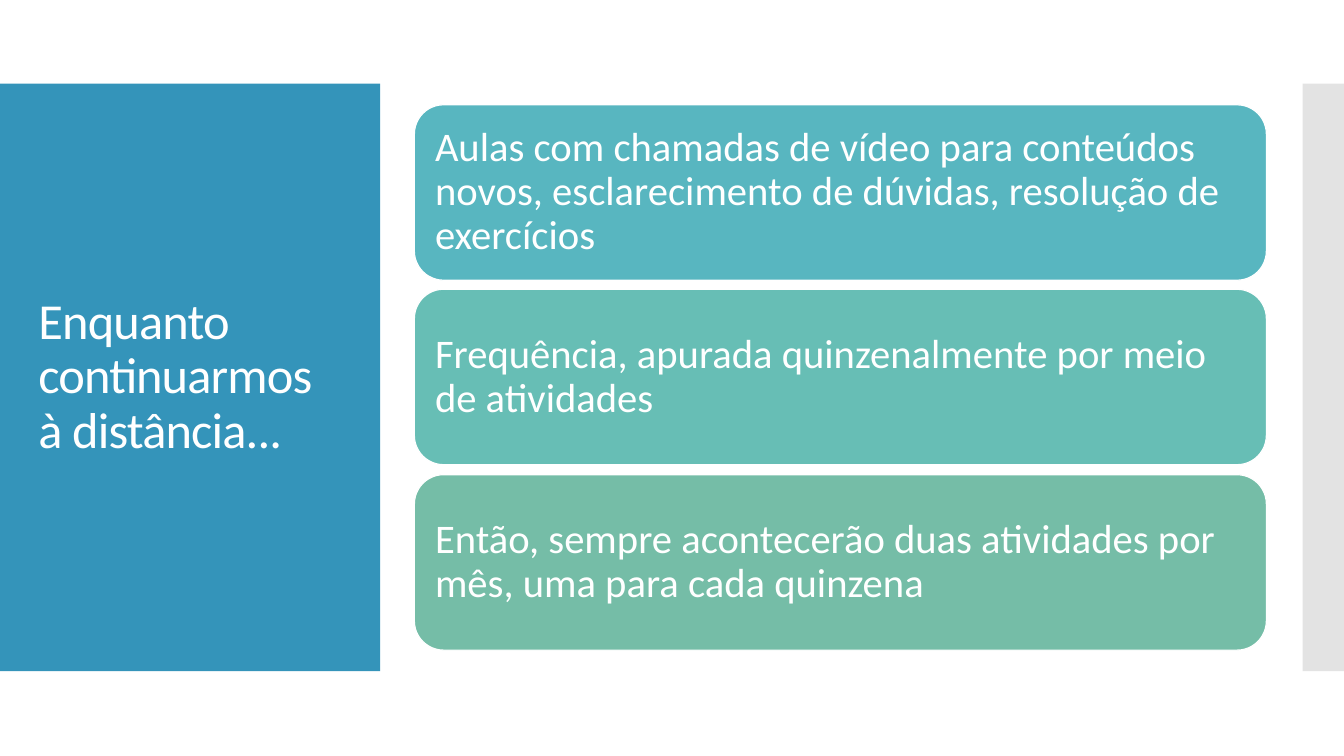
"""Build the slide on distance classes: a title panel and three rule cards."""
from typing import NamedTuple, Optional

from lxml.etree import SubElement
from pptx import Presentation
from pptx.dml.color import RGBColor
from pptx.enum.shapes import MSO_SHAPE
from pptx.enum.text import MSO_ANCHOR, MSO_AUTO_SIZE, PP_ALIGN
from pptx.oxml.ns import qn
from pptx.shapes.autoshape import Shape
from pptx.slide import Slide
from pptx.text.text import TextFrame
from pptx.util import Emu, Pt

COLORS = {
    "white": "FFFFFF",
    "blue": "3494BA",
    "grey": "C8C8C8",
    "cyan": "58B6C0",
    "teal": "67BEB5",
    "green": "75BDA7",
}
FONT = "Calibri"
EMU_PER_PX = 9144
SLIDE_WIDTH, SLIDE_HEIGHT = 1333, 750
CARD_LEFT, CARD_WIDTH, CARD_HEIGHT = 411, 845, 174
CARDS_TOP, CARDS_HEIGHT = 104, 541


class Box(NamedTuple):
    """A rectangle in px."""

    left: int
    top: int
    width: int
    height: int


class Panel(NamedTuple):
    """A plain side panel, opaque unless an opacity is given."""

    box: Box
    color: str
    opacity: Optional[int] = None


class Card(NamedTuple):
    """A rounded card with one statement."""

    text: str
    color: str


PANELS = [
    Panel(Box(0, 83, 377, 583), "blue"),
    Panel(Box(1292, 83, 41, 583), "grey", 50),
]
TITLE = "Enquanto continuarmos à distância..."
TITLE_BOX = Box(28, 123, 322, 503)
CARDS = [
    Card(
        "Aulas com chamadas de vídeo para conteúdos novos, "
        "esclarecimento de dúvidas, resolução de exercícios",
        "cyan",
    ),
    Card("Frequência, apurada quinzenalmente por meio de atividades", "teal"),
    Card(
        "Então, sempre acontecerão duas atividades por mês, "
        "uma para cada quinzena",
        "green",
    ),
]


def px(length: int) -> Emu:
    """Turn px into EMU."""
    return Emu(length * EMU_PER_PX)


def rgb(name: str) -> RGBColor:
    """Look up a colour by name."""
    return RGBColor.from_string(COLORS[name])


def add_filled(slide: Slide, preset: MSO_SHAPE, box: Box, color: str) -> Shape:
    """Add a flat filled shape."""
    filled = slide.shapes.add_shape(preset, *map(px, box))
    filled.shadow.inherit = False
    filled.fill.solid()
    filled.fill.fore_color.rgb = rgb(color)
    return filled


def write(frame: TextFrame, text: str, size: int) -> None:
    """Write one white, left-aligned, vertically centred paragraph."""
    frame.text = text
    frame.word_wrap = True
    frame.auto_size = MSO_AUTO_SIZE.NONE
    frame.vertical_anchor = MSO_ANCHOR.MIDDLE
    paragraph = frame.paragraphs[0]
    paragraph.alignment = PP_ALIGN.LEFT
    paragraph.line_spacing = 0.9
    paragraph.font.name = FONT
    paragraph.font.size = Pt(size)
    paragraph.font.color.rgb = rgb("white")


def add_panel(slide: Slide, panel: Panel) -> None:
    """Add a borderless side panel."""
    backdrop = add_filled(slide, MSO_SHAPE.RECTANGLE, panel.box, panel.color)
    backdrop.line.fill.background()
    if panel.opacity is not None:
        fill_color = next(backdrop.element.iter(qn("a:srgbClr")))
        SubElement(fill_color, qn("a:alpha"), val=str(panel.opacity * 1000))


def place_title(slide: Slide) -> None:
    """Move the title placeholder onto the blue panel and format it."""
    title = slide.shapes.title
    slide.shapes.element.append(title.element)
    title.left, title.top, title.width, title.height = map(px, TITLE_BOX)
    write(title.text_frame, TITLE, 36)
    run = title.text_frame.paragraphs[0].runs[0]
    run._r.get_or_add_rPr().set("spc", "-60")


def add_card(slide: Slide, card: Card, top: int) -> None:
    """Add a rounded card with its statement."""
    box = Box(CARD_LEFT, top, CARD_WIDTH, CARD_HEIGHT)
    statement = add_filled(slide, MSO_SHAPE.ROUNDED_RECTANGLE, box, card.color)
    statement.line.color.rgb = rgb("white")
    statement.line.width = Pt(0.85)
    frame = statement.text_frame
    write(frame, card.text, 29)
    frame.margin_left = frame.margin_right = px(12)
    frame.margin_top = frame.margin_bottom = px(12)


def main() -> None:
    """Build and save the slide."""
    presentation = Presentation()
    presentation.slide_width = px(SLIDE_WIDTH)
    presentation.slide_height = px(SLIDE_HEIGHT)
    slide = presentation.slides.add_slide(presentation.slide_layouts[5])
    for panel in PANELS:
        add_panel(slide, panel)
    place_title(slide)
    for index, card in enumerate(CARDS):
        offset = index * (CARDS_HEIGHT - CARD_HEIGHT) // (len(CARDS) - 1)
        add_card(slide, card, CARDS_TOP + offset)
    presentation.save("out.pptx")


if __name__ == "__main__":
    main()
